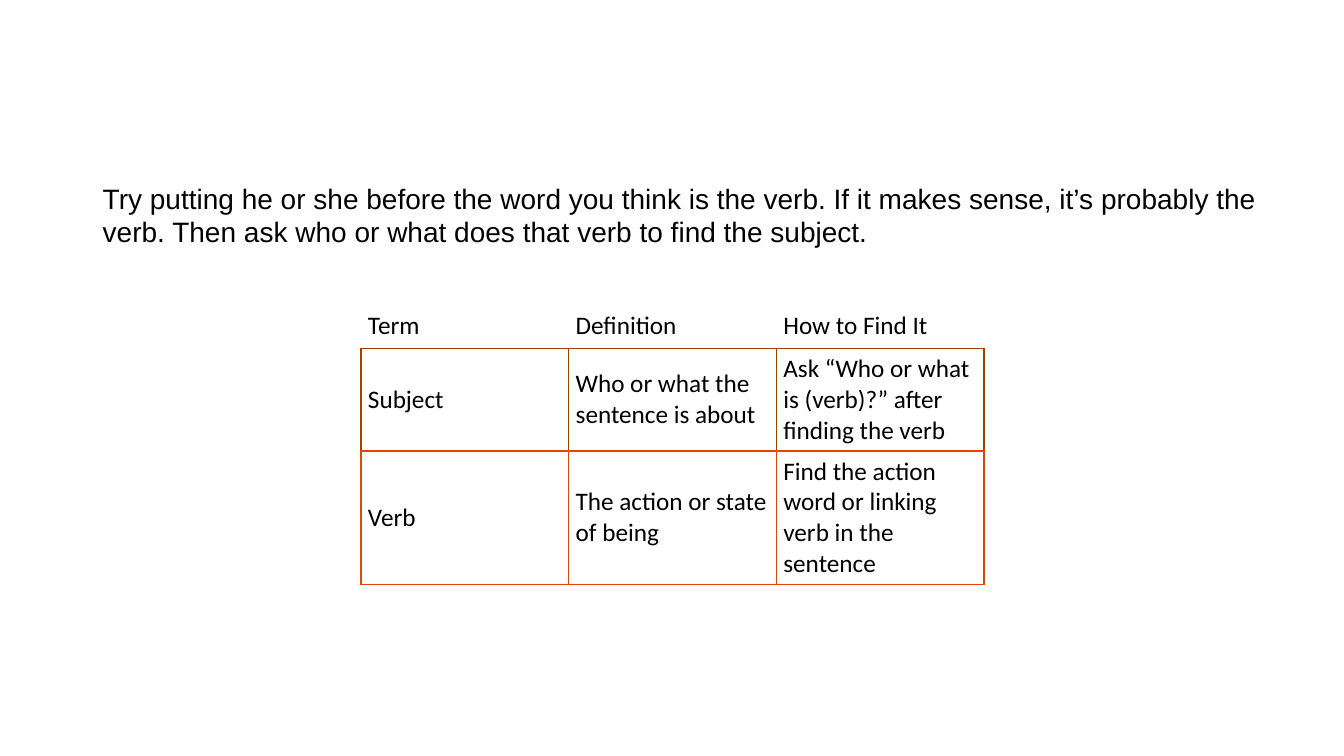
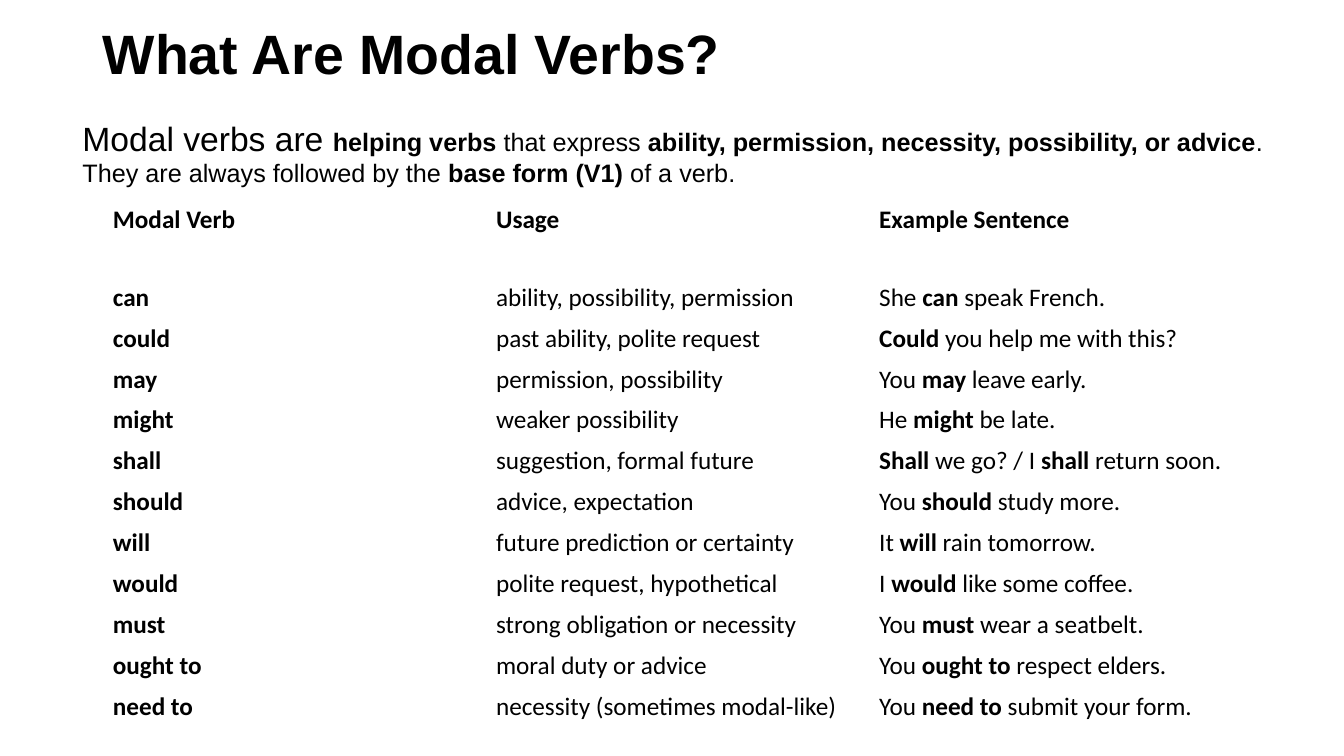
from dataclasses import dataclass

from lxml.etree import SubElement
from pptx import Presentation
from pptx.dml.color import RGBColor
from pptx.enum.text import MSO_ANCHOR
from pptx.oxml.ns import qn
from pptx.slide import Slide
from pptx.table import _Cell as Cell
from pptx.text.text import _Paragraph as Paragraph
from pptx.util import Inches, Pt

COLORS = {"text": "000000", "rust": "A04206", "orange": "E04606"}
HEADING_FONT, TABLE_FONT = "Arial", "Calibri"
TABLE_SIZE = 18
NO_STYLE_NO_GRID = "{2D5ABB26-0587-4C30-8999-92F81FD0307C}"
TITLE_ONLY_LAYOUT, BLANK_LAYOUT = 5, 6


@dataclass(frozen=True)
class Span:
    text: str
    size: float
    bold: bool = False


@dataclass(frozen=True)
class RowStyle:
    height: float
    margin_x: float
    margin_y: float
    anchor: MSO_ANCHOR = MSO_ANCHOR.MIDDLE
    borders: tuple[tuple[str, str], ...] = ()


@dataclass(frozen=True)
class TableRow:
    cells: tuple[str, ...]
    style: RowStyle


def edges(sides: str, color: str) -> tuple[tuple[str, str], ...]:
    return tuple((side, color) for side in sides)


def marked_spans(text: str, size: float) -> list[Span]:
    """Split text into spans; words between double asterisks are bold."""
    parts = text.split("**")
    return [Span(part, size, index % 2 == 1) for index, part in enumerate(parts) if part]


def write_spans(para: Paragraph, spans: list[Span], font_name: str) -> None:
    for span in spans:
        run = para.add_run()
        run.text = span.text
        run.font.name = font_name
        run.font.size = Pt(span.size)
        run.font.bold = span.bold
        run.font.color.rgb = RGBColor.from_string(COLORS["text"])


def add_text(page: Slide, left: float, top: float, width: float, height: float,
             paragraphs: list[list[Span]]) -> None:
    box = page.shapes.add_textbox(Inches(left), Inches(top), Inches(width), Inches(height))
    frame = box.text_frame
    frame.word_wrap = True
    frame.vertical_anchor = MSO_ANCHOR.MIDDLE
    for index, spans in enumerate(paragraphs):
        para = frame.add_paragraph() if index else frame.paragraphs[0]
        write_spans(para, spans, HEADING_FONT)


def add_title(page: Slide, text: str) -> None:
    title = page.shapes.title
    title.left, title.top = Inches(0.92), Inches(0.23)
    title.width, title.height = Inches(11.5), Inches(0.67)
    title.text_frame.vertical_anchor = MSO_ANCHOR.MIDDLE
    para = title.text_frame.paragraphs[0]
    para.alignment = 1
    para.line_spacing = 0.9
    write_spans(para, [Span(text, 39.6, True)], HEADING_FONT)


def set_borders(cell: Cell, borders: tuple[tuple[str, str], ...]) -> None:
    properties = cell._tc.get_or_add_tcPr()
    for side, color in borders:
        line = SubElement(properties, qn(f"a:ln{side}"), w=str(Pt(1)))
        fill = SubElement(line, qn("a:solidFill"))
        SubElement(fill, qn("a:srgbClr"), val=COLORS[color])


def format_cell(cell: Cell, text: str, style: RowStyle) -> None:
    cell.margin_left = cell.margin_right = Inches(style.margin_x)
    cell.margin_top = cell.margin_bottom = Inches(style.margin_y)
    cell.vertical_anchor = style.anchor
    set_borders(cell, style.borders)
    cell.fill.background()
    write_spans(cell.text_frame.paragraphs[0], marked_spans(text, TABLE_SIZE), TABLE_FONT)


def add_table(page: Slide, left: float, top: float, column_width: float,
              rows: list[TableRow]) -> None:
    count = len(rows[0].cells)
    height = sum(row.style.height for row in rows)
    frame = page.shapes.add_table(len(rows), count, Inches(left), Inches(top),
                                  Inches(column_width * count), Inches(height))
    table = frame.table
    table.first_row = table.horz_banding = False
    table._tbl.tblPr.find(qn("a:tableStyleId")).text = NO_STYLE_NO_GRID
    for column in table.columns:
        column.width = Inches(column_width)
    for index, row in enumerate(rows):
        table.rows[index].height = Inches(row.style.height)
        for column_index, text in enumerate(row.cells):
            format_cell(table.cell(index, column_index), text, row.style)


def build_subject_verb_page(deck: Presentation) -> None:
    page = deck.slides.add_slide(deck.slide_layouts[BLANK_LAYOUT])
    header = RowStyle(0.44, 0.07, 0.07, MSO_ANCHOR.TOP, edges("B", "rust"))
    subject = RowStyle(1.02, 0.07, 0.05,
                       borders=edges("LRT", "rust") + edges("B", "orange"))
    verb = RowStyle(1.32, 0.07, 0.05, borders=edges("LRTB", "orange"))
    add_table(page, 3.58, 3.01, 2.06, [
        TableRow(("Term", "Definition", "How to Find It"), header),
        TableRow(("Subject", "Who or what the sentence is about",
                  "Ask “Who or what is (verb)?” after finding the verb"), subject),
        TableRow(("Verb", "The action or state of being",
                  "Find the action word or linking verb in the sentence"), verb),
    ])
    add_text(page, 0.92, 1.73, 12.19, 0.8, [[Span(
        "Try putting he or she before the word you think is the verb. "
        "If it makes sense, it’s probably the verb. "
        "Then ask who or what does that verb to find the subject.", 20)]])


MODAL_VERBS = (
    ("can", "ability, possibility, permission", "She **can** speak French."),
    ("could", "past ability, polite request", "**Could** you help me with this?"),
    ("may", "permission, possibility", "You **may** leave early."),
    ("might", "weaker possibility", "He **might** be late."),
    ("shall", "suggestion, formal future", "**Shall** we go? / I **shall** return soon."),
    ("should", "advice, expectation", "You **should** study more."),
    ("will", "future prediction or certainty", "It **will** rain tomorrow."),
    ("would", "polite request, hypothetical", "I **would** like some coffee."),
    ("must", "strong obligation or necessity", "You **must** wear a seatbelt."),
    ("ought to", "moral duty or advice", "You **ought to** respect elders."),
    ("need to", "necessity (sometimes modal-like)", "You **need to** submit your form."),
)


def build_modal_verbs_page(deck: Presentation) -> None:
    page = deck.slides.add_slide(deck.slide_layouts[TITLE_ONLY_LAYOUT])
    add_title(page, "What Are Modal Verbs?")
    header = RowStyle(1.14, 0.1, 0.05)
    body = RowStyle(0.4, 0.1, 0.05)
    rows = [TableRow(("**Modal Verb**", "**Usage**", "**Example Sentence**"), header)]
    rows += [TableRow((f"**{verb}**", usage, example), body)
             for verb, usage, example in MODAL_VERBS]
    add_table(page, 1.02, 1.61, 3.8, rows)
    add_text(page, 0.72, 1.11, 12.3, 0.81, [
        [Span("Modal verbs are ", 24)] + marked_spans(
            "**helping verbs** that express "
            "**ability, permission, necessity, possibility, or advice**.", 18),
        marked_spans("They are always followed by the **base form (V1)** of a verb.", 18),
    ])


def main() -> None:
    deck = Presentation()
    deck.slide_width, deck.slide_height = Inches(13.33), Inches(7.5)
    build_subject_verb_page(deck)
    build_modal_verbs_page(deck)
    deck.save("out.pptx")


if __name__ == "__main__":
    main()
